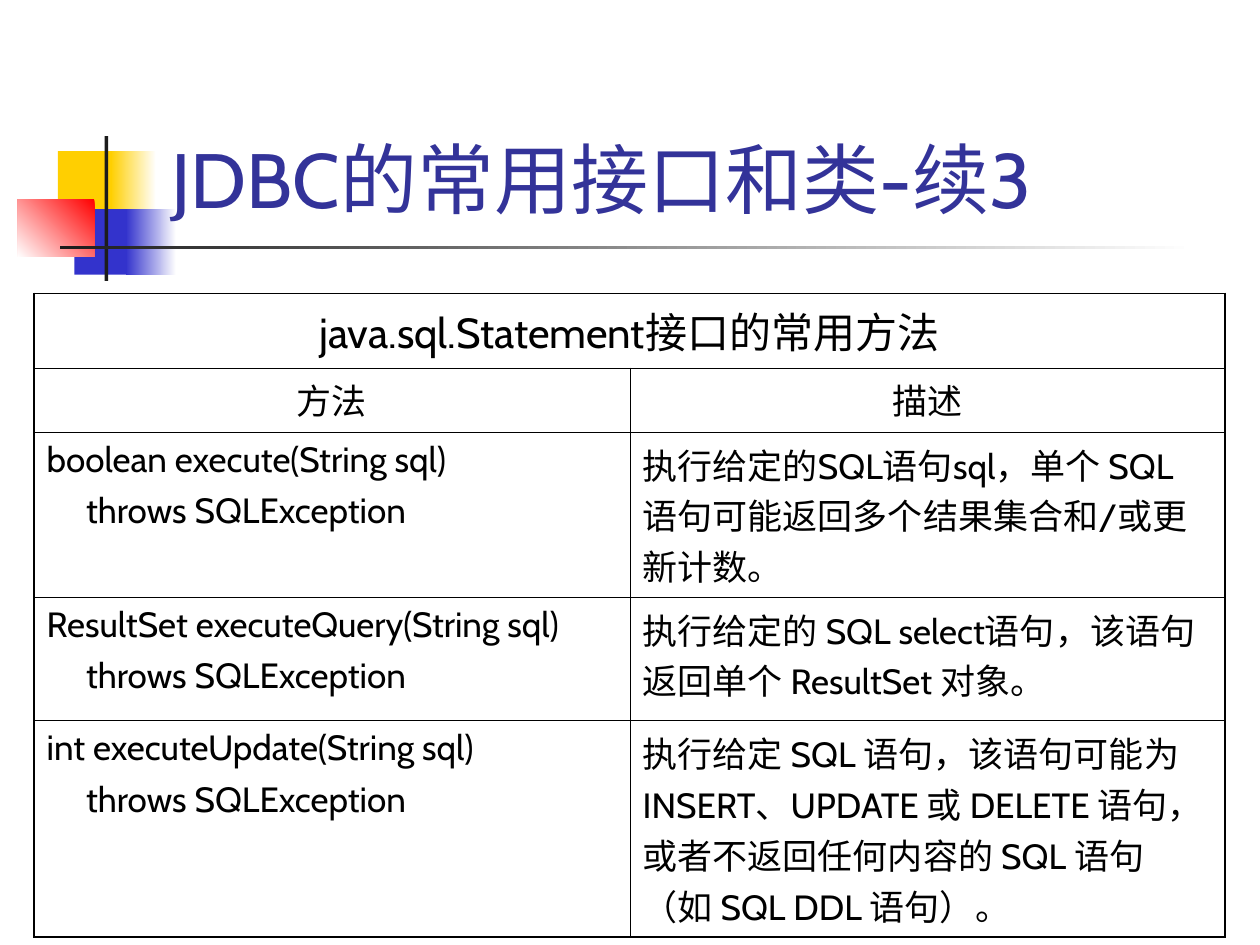
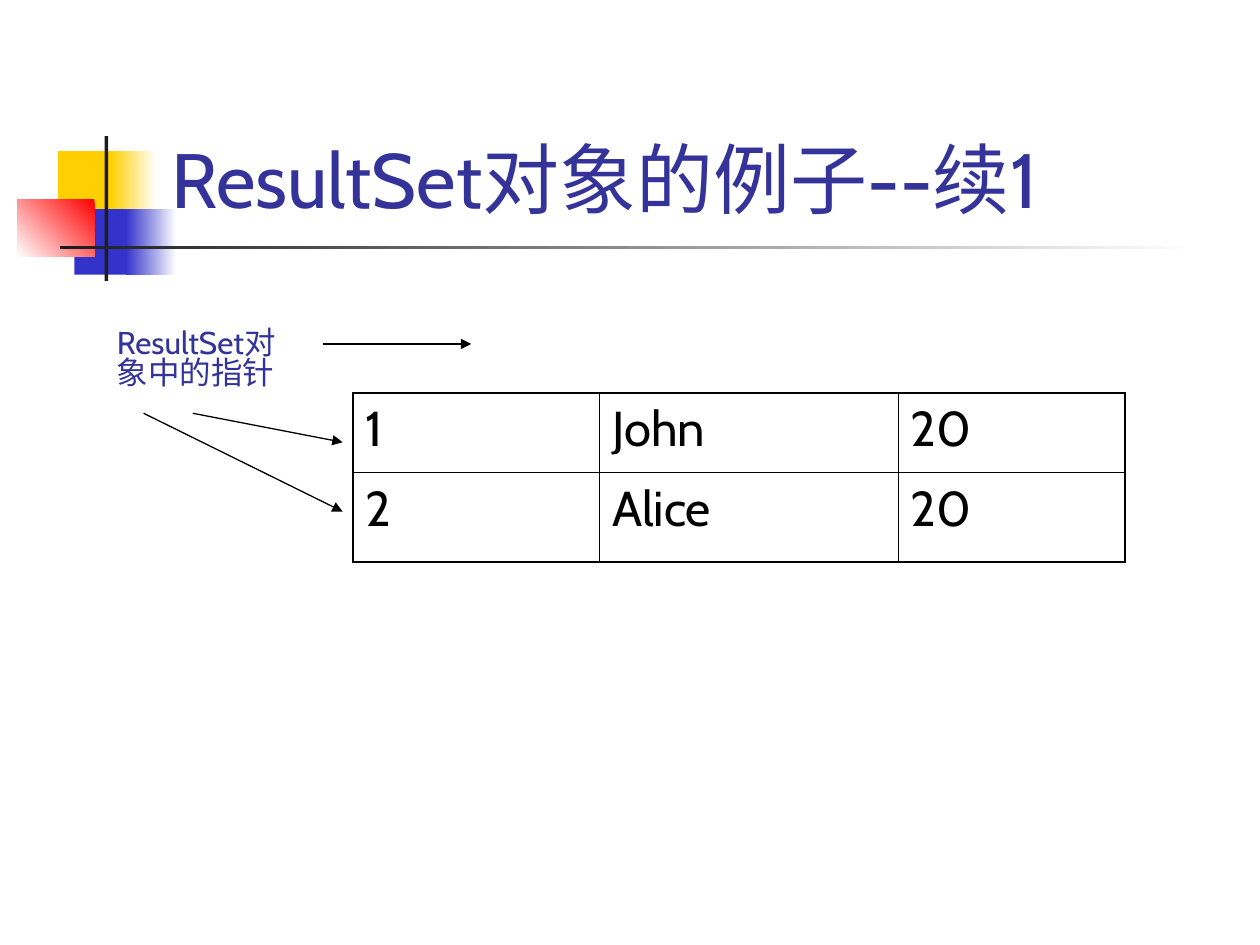
import dataclasses

import lxml.etree
import pptx
import pptx.dml.color
import pptx.enum.shapes
import pptx.enum.text
import pptx.oxml.ns
import pptx.util

Inches = pptx.util.Inches
Pt = pptx.util.Pt
qn = pptx.oxml.ns.qn


@dataclasses.dataclass(frozen=True)
class Theme:
    """Colours, font, type sizes and line widths of the deck."""
    font: str = "Cabin"
    title_color: str = "333399"
    ink: str = "000000"
    paper: str = "FFFFFF"
    yellow: str = "FFCF01"
    blue: str = "3333CC"
    red: str = "FF0000"
    rule: str = "1C1C1C"
    title_size: int = 44
    caption_size: int = 24
    cell_size: int = 20
    record_size: int = 28
    pointer_size: int = 18
    outer_border: float = 1.08
    inner_border: float = 0.45
    arrow_width: float = 0.75


THEME = Theme()
TITLE_AREA = (1.26, 0.23, 8.52, 1.6)
EMBLEM = [
    ((0.46, 1.2, 0.48, 0.52), (THEME.yellow,), None),
    ((0.88, 1.2, 0.36, 0.52), (THEME.paper, THEME.yellow), 180),
    ((0.59, 1.66, 0.46, 0.52), (THEME.blue,), None),
    ((1, 1.66, 0.4, 0.52), (THEME.paper, THEME.blue), 180),
    ((0.14, 1.58, 0.61, 0.46), (THEME.red, THEME.paper), 225),
    ((0.83, 1.08, 0.03, 1.15), (THEME.rule,), None),
    ((0.48, 1.95, 9, 0.03), (THEME.paper, THEME.rule), 180),
]
STATEMENT_METHODS = [
    ["java.sql.Statement接口的常用方法", ""],
    ["方法", "描述"],
    ["boolean execute(String sql)\n     throws SQLException",
     "执行给定的SQL语句sql，单个 SQL 语句可能返回多个结果集合和/或更新计数。"],
    ["ResultSet executeQuery(String sql)\n     throws SQLException",
     "执行给定的 SQL select语句，该语句返回单个 ResultSet 对象。"],
    ["int executeUpdate(String sql)\n     throws SQLException",
     "执行给定 SQL 语句，该语句可能为 INSERT、UPDATE 或 DELETE 语句，"
     "或者不返回任何内容的 SQL 语句（如 SQL DDL 语句）。"],
]
RECORDS = [["1", "John", "20"], ["2", "Alice", "20"]]
POINTER_ARROWS = [
    (2.56, 2.73, 3.74, 2.73),
    (1.53, 3.28, 2.72, 3.51),
    (1.14, 3.28, 2.72, 4.06),
]


def rgb(color):
    """Return a colour object for a hexadecimal string."""
    return pptx.dml.color.RGBColor.from_string(color)


def inches(numbers):
    """Return the numbers as lengths in inches."""
    return [Inches(number) for number in numbers]


def apply_format(target, values):
    """Set each named attribute of the target."""
    for name, value in values.items():
        setattr(target, name, value)


def write_text(frame, text, size, color, **para_format):
    """Fill a text frame with one paragraph per line of text."""
    frame.text = text
    for index, para in enumerate(frame.paragraphs):
        apply_format(para, para_format)
        if index:
            para.space_before = Pt(size / 4)
        for span in para.runs:
            apply_format(span.font, {"name": THEME.font, "size": Pt(size)})
            span.font.color.rgb = rgb(color)


def add_block(page, area, colors, angle):
    """Add a rectangle with a solid or two-colour gradient fill."""
    block = page.shapes.add_shape(
        pptx.enum.shapes.MSO_SHAPE.RECTANGLE, *inches(area))
    block.shadow.inherit = False
    block.line.fill.background()
    if angle is None:
        block.fill.solid()
        block.fill.fore_color.rgb = rgb(colors[0])
        return block
    block.fill.gradient()
    block.fill.gradient_angle = angle
    for stop, color, position in zip(block.fill.gradient_stops, colors, (0, 1)):
        stop.color.rgb = rgb(color)
        stop.position = position
    return block


def add_emblem(page):
    """Draw the emblem and place it on the layout that the pages share."""
    for index, (area, colors, angle) in enumerate(EMBLEM):
        block = add_block(page, area, colors, angle)
        page.slide_layout.shapes.element.insert(2 + index, block.element)


def add_page(deck, title):
    """Add a page with a titled header."""
    page = deck.slides.add_slide(deck.slide_layouts[5])
    box = page.shapes.title
    places = ("left", "top", "width", "height")
    apply_format(box, dict(zip(places, inches(TITLE_AREA))))
    apply_format(box.text_frame, {
        "vertical_anchor": pptx.enum.text.MSO_ANCHOR.BOTTOM,
        "auto_size": pptx.enum.text.MSO_AUTO_SIZE.NONE,
        "word_wrap": True,
    })
    write_text(box.text_frame, title, THEME.title_size, THEME.title_color,
               alignment=pptx.enum.text.PP_ALIGN.LEFT)
    return page


def set_borders(cell, outer_sides):
    """Draw the four cell borders, heavier on the outer sides."""
    properties = cell._tc.get_or_add_tcPr()
    for side in "LRTB":
        width = THEME.outer_border if side in outer_sides else THEME.inner_border
        border = lxml.etree.SubElement(
            properties, qn(f"a:ln{side}"), w=str(int(Pt(width))))
        fill = lxml.etree.SubElement(border, qn("a:solidFill"))
        lxml.etree.SubElement(fill, qn("a:srgbClr"), val=THEME.ink)


def add_grid(page, origin, widths, heights, rows, sizes, centred_rows=0):
    """Add a bordered table; centred rows come first, a blank cell is merged."""
    area = inches((*origin, sum(widths), sum(heights)))
    table = page.shapes.add_table(len(rows), len(widths), *area).table
    apply_format(table, {"first_row": False, "horz_banding": False})
    for column, width in zip(table.columns, widths):
        column.width = Inches(width)
    for row, height in zip(table.rows, heights):
        row.height = Inches(height)
    for i, texts in enumerate(rows):
        if not texts[-1]:
            table.cell(i, 0).merge(table.cell(i, len(texts) - 1))
        for j, text in enumerate(texts):
            cell = table.cell(i, j)
            if cell.is_spanned:
                continue
            edges = {"L": j == 0, "R": j + cell.span_width == len(texts),
                     "T": i == 0, "B": i == len(rows) - 1}
            set_borders(cell, [side for side, outer in edges.items() if outer])
            cell.fill.background()
            align = pptx.enum.text.PP_ALIGN
            write_text(cell.text_frame, text, sizes[i], THEME.ink,
                       alignment=align.CENTER if i < centred_rows else align.LEFT)


def add_label(page, area, text):
    """Add a wrapped label for the pointer arrows."""
    box = page.shapes.add_textbox(*inches(area))
    apply_format(box.text_frame, {
        "word_wrap": True,
        "auto_size": pptx.enum.text.MSO_AUTO_SIZE.SHAPE_TO_FIT_TEXT,
    })
    write_text(box.text_frame, text, THEME.pointer_size, THEME.title_color,
               line_spacing=0.8)


def add_arrow(page, ends):
    """Add a thin straight arrow."""
    arrow = page.shapes.add_connector(
        pptx.enum.shapes.MSO_CONNECTOR.STRAIGHT, *inches(ends))
    arrow.line.width = Pt(THEME.arrow_width)
    arrow.line.color.rgb = rgb(THEME.ink)
    properties = arrow.element.spPr
    lxml.etree.SubElement(
        properties.find(qn("a:ln")), qn("a:tailEnd"), type="triangle")
    lxml.etree.SubElement(properties, qn("a:effectLst"))


def main():
    """Build and save the deck."""
    deck = pptx.Presentation()
    apply_format(deck, {"slide_width": Inches(10), "slide_height": Inches(7.5)})

    methods_page = add_page(deck, "JDBC的常用接口和类-续3")
    add_emblem(methods_page)
    add_grid(methods_page, (0.27, 2.33), (4.73, 4.72),
             (0.59, 0.51, 1.31, 0.98, 1.72), STATEMENT_METHODS,
             [THEME.caption_size] + [THEME.cell_size] * 4, centred_rows=2)

    pointer_page = add_page(deck, "ResultSet对象的例子--续1")
    add_grid(pointer_page, (2.8, 3.12), (1.96, 2.37, 1.8), (0.63, 0.71),
             RECORDS, [THEME.record_size] * 2)
    add_label(pointer_page, (0.83, 2.57, 1.65, 0.7), "ResultSet对象中的指针")
    for ends in POINTER_ARROWS:
        add_arrow(pointer_page, ends)

    deck.save("out.pptx")


if __name__ == "__main__":
    main()
